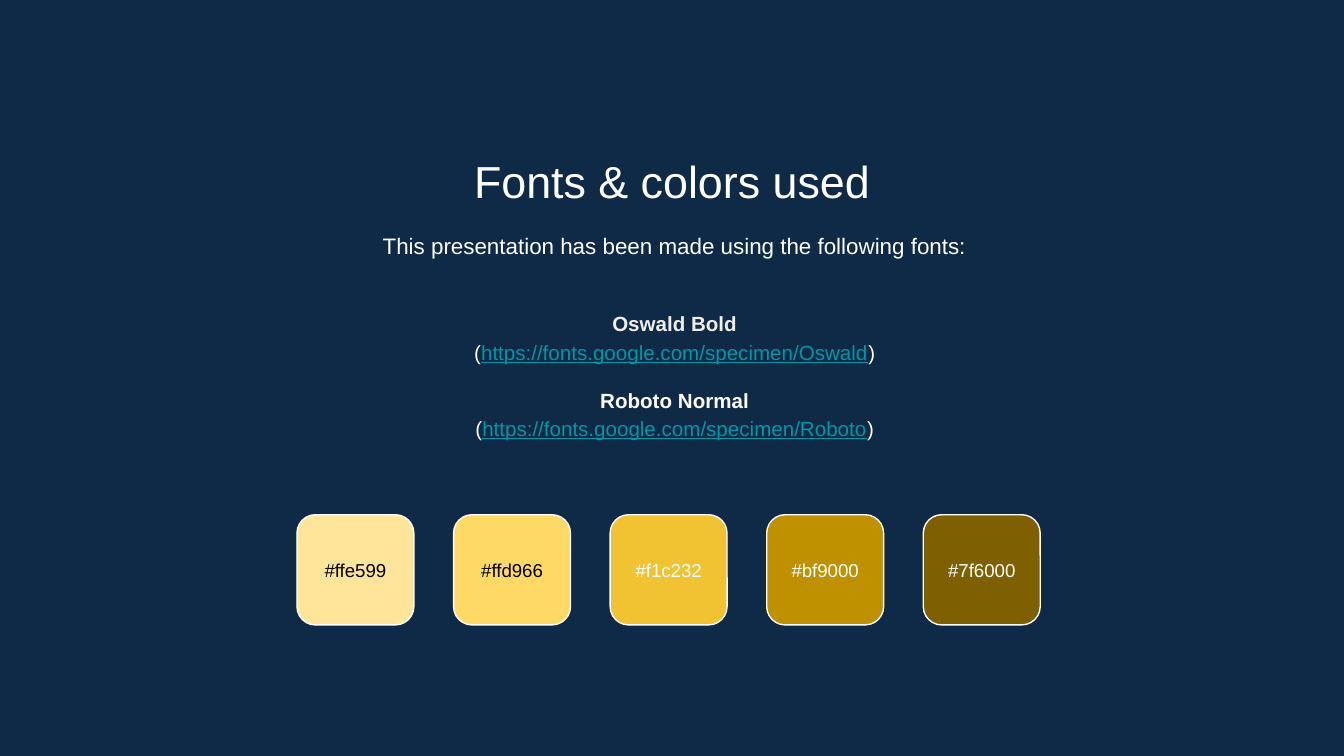
from dataclasses import dataclass

from pptx import Presentation
from pptx.dml.color import RGBColor
from pptx.enum.shapes import MSO_SHAPE
from pptx.enum.text import MSO_ANCHOR as Anchor, PP_ALIGN as Align
from pptx.slide import Slide
from pptx.util import Inches, Pt

NAVY = RGBColor(0x0E, 0x2A, 0x47)
WHITE = RGBColor(0xFF, 0xFF, 0xFF)
PALE_GRAY = RGBColor(0xEF, 0xEF, 0xEF)
BLACK = RGBColor(0x00, 0x00, 0x00)
TEAL = RGBColor(0x00, 0x97, 0xA7)

FONTS = [
    ("Oswald Bold", "https://fonts.google.com/specimen/Oswald", PALE_GRAY),
    ("Roboto Normal", "https://fonts.google.com/specimen/Roboto", WHITE),
]
SWATCHES = [
    ("ffe599", BLACK),
    ("ffd966", BLACK),
    ("f1c232", WHITE),
    ("bf9000", WHITE),
    ("7f6000", WHITE),
]


@dataclass
class SlideBuilder:
    """Draw styled elements on a slide, placed by grid columns and rows."""

    slide: Slide
    font_name: str = "Arial"
    cell: int = Inches(0.1)
    line_spacing: float = 1.15

    def place(self, *cells):
        return [round(count * self.cell) for count in cells]

    def style(self, font, size, color, bold=False, underline=False):
        font.name = self.font_name
        font.size = Pt(size)
        font.bold = bold
        font.underline = underline
        font.color.rgb = color

    def text_box(self, column, row, columns, rows, anchor):
        box = self.slide.shapes.add_textbox(*self.place(column, row, columns, rows))
        frame = box.text_frame
        frame.word_wrap = True
        frame.vertical_anchor = anchor
        frame.margin_left = frame.margin_right = self.cell
        frame.margin_top = frame.margin_bottom = self.cell
        return frame

    def label(self, text, area, size, color, anchor=Anchor.TOP, spacing=None):
        frame = self.text_box(*area, anchor)
        frame.text = text
        paragraph = frame.paragraphs[0]
        paragraph.alignment = Align.CENTER
        paragraph.line_spacing = spacing
        self.style(paragraph.runs[0].font, size, color)

    def font_list(self, fonts, area, size, gap):
        frame = self.text_box(*area, Anchor.MIDDLE)
        frame.text = "\n".join(f"{name}\n(" for name, _, _ in fonts)
        for paragraph in frame.paragraphs:
            paragraph.alignment = Align.CENTER
            paragraph.line_spacing = self.line_spacing
        names, links = frame.paragraphs[::2], frame.paragraphs[1::2]
        for name, link, (_, address, color) in zip(names, links, fonts):
            self.style(name.runs[0].font, size, color, bold=True)
            self.style(link.runs[0].font, size, WHITE)
            for text, shade in ((address, TEAL), (")", WHITE)):
                run = link.add_run()
                run.text = text
                self.style(run.font, size, shade, underline=shade == TEAL)
        for name in names[1:]:
            name.space_before = Pt(gap)

    def swatch(self, code, text_color, column, row, columns, rows):
        shape = self.slide.shapes.add_shape(
            MSO_SHAPE.ROUNDED_RECTANGLE, *self.place(column, row, columns, rows)
        )
        shape.shadow.inherit = False
        shape.fill.solid()
        shape.fill.fore_color.rgb = RGBColor.from_string(code.upper())
        shape.line.color.rgb = WHITE
        shape.line.width = Pt(0.75)
        label_area = (column, row + 1.7, columns, 4.8)
        self.label(f"#{code}", label_area, 10, text_color, Anchor.MIDDLE)


def main():
    presentation = Presentation()
    presentation.slide_width = Inches(10)
    presentation.slide_height = presentation.slide_width * 9 // 16
    slide = presentation.slides.add_slide(presentation.slide_layouts[6])
    slide.background.fill.solid()
    slide.background.fill.fore_color.rgb = NAVY

    builder = SlideBuilder(slide)
    builder.label("Fonts & colors used", (11.45, 10.45, 77.1, 5.3), 24, WHITE)
    builder.label(
        "This presentation has been made using the following fonts:",
        (11.65, 15.95, 77.1, 4.8),
        12,
        WHITE,
        spacing=builder.line_spacing,
    )
    builder.font_list(FONTS, (11.65, 21, 77.1, 13.7), size=11, gap=10.6)
    for index, (code, text_color) in enumerate(SWATCHES):
        builder.swatch(code, text_color, 22.1 + index * 11.65, 38.3, 8.7, 8.2)

    presentation.save("out.pptx")


if __name__ == "__main__":
    main()
